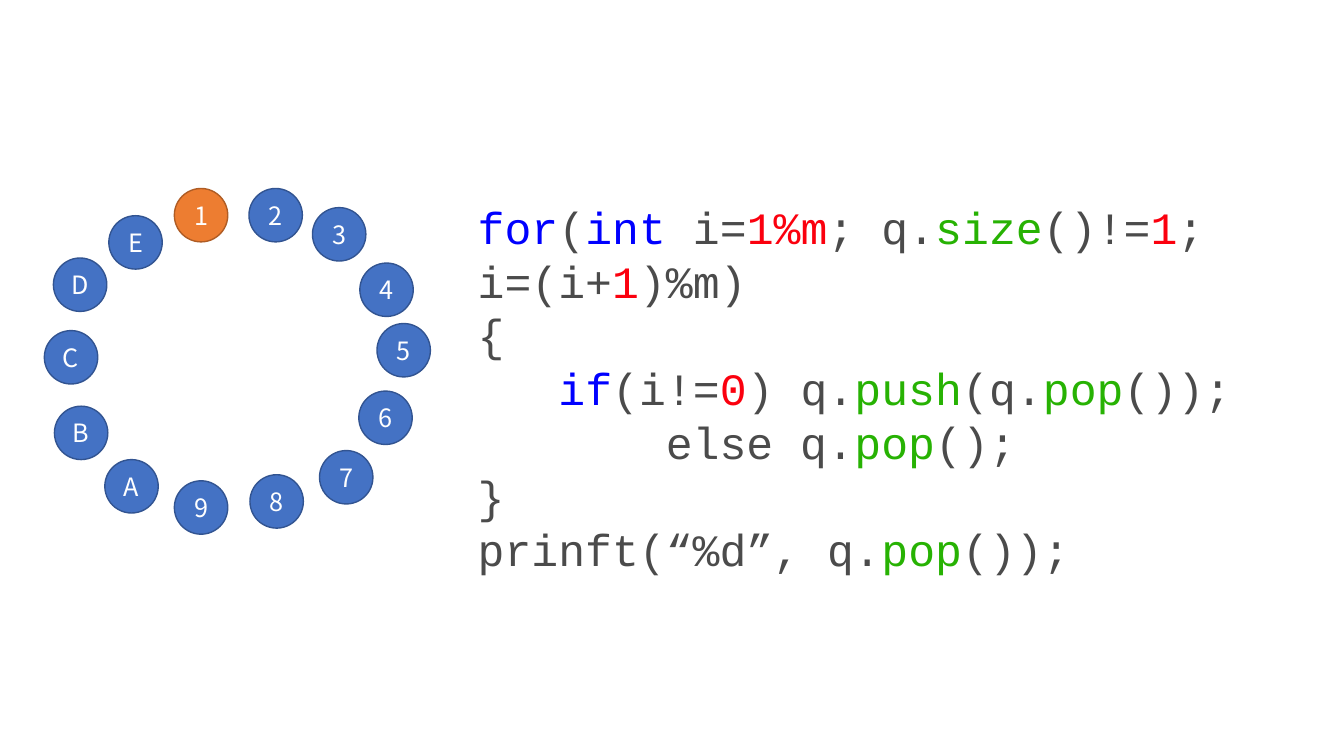
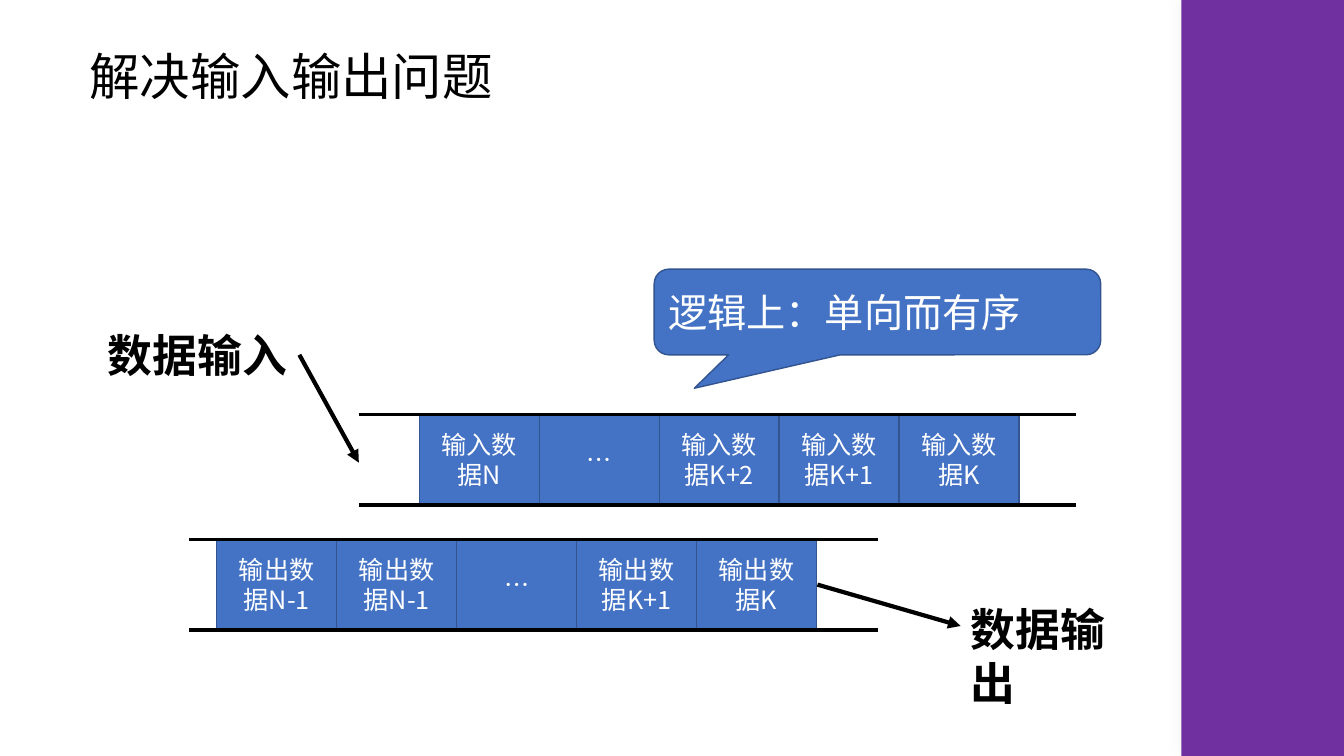
import dataclasses

import lxml.etree
import pptx
import pptx.dml.color
import pptx.enum.shapes
import pptx.enum.text
import pptx.oxml
import pptx.oxml.ns
import pptx.util

SHAPE = pptx.enum.shapes.MSO_SHAPE
ALIGN = pptx.enum.text.PP_ALIGN
ANCHOR = pptx.enum.text.MSO_ANCHOR
AUTO_SIZE = pptx.enum.text.MSO_AUTO_SIZE

# The grid: square cells, ten to the inch
CELL = pptx.util.Inches(0.1)
COLUMNS, ROWS = 133.33, 75


@dataclasses.dataclass(frozen=True)
class Theme:
    font: str = "Noto Sans CJK SC"
    code_font: str = "Courier New"
    # Colours
    fill: str = "4472C4"
    outline: str = "325491"
    accent: str = "ED7D31"
    accent_outline: str = "AF5C24"
    band: str = "7030A0"
    band_shadow: str = "D5D7D5"
    ink: str = "000000"
    light: str = "FFFFFF"
    plain: str = "4B4B4B"
    keyword: str = "0000FF"
    number: str = "FB000E"
    method: str = "27B203"
    # Type sizes and line widths in points
    title_size: int = 36
    label_size: int = 32
    callout_size: int = 28
    cell_size: int = 18
    outline_width: float = 1
    rail_width: float = 2.25
    arrow_width: float = 3


THEME = Theme()


def cells(count):
    return round(count * CELL)


def rgb(colour):
    return pptx.dml.color.RGBColor.from_string(colour)


def append_element(parent, tag, **attributes):
    return lxml.etree.SubElement(parent, pptx.oxml.ns.qn(tag), attributes)


def write(text_frame, text, size, colour, font=THEME.font, bold=False, align=ALIGN.LEFT):
    """Fill a frame from a string, or from lines of (text, colour) pieces."""
    lines = [[(text, colour)]] if isinstance(text, str) else text
    for index, line in enumerate(lines):
        paragraph = text_frame.add_paragraph() if index else text_frame.paragraphs[0]
        paragraph.alignment = align
        for piece, piece_colour in line:
            run = paragraph.add_run()
            run.text = piece
            run.font.size = pptx.util.Pt(size)
            run.font.bold = bold
            run.font.color.rgb = rgb(piece_colour)
            run.font.name = font
            append_element(run.font._element, "a:ea", typeface=font)


class Deck:
    def __init__(self, theme):
        self.theme = theme
        self.presentation = pptx.Presentation()
        self.presentation.slide_width = cells(COLUMNS)
        self.presentation.slide_height = cells(ROWS)
        self.slide = None

    def add_slide(self):
        self.slide = self.presentation.slides.add_slide(self.presentation.slide_layouts[6])

    def group(self):
        return self.slide.shapes.add_group_shape().shapes

    def shape(self, kind, left, top, width, height, fill, outline=None, shapes=None):
        shapes = self.slide.shapes if shapes is None else shapes
        shape = shapes.add_shape(kind, *map(cells, (left, top, width, height)))
        shape.shadow.inherit = False
        shape.fill.solid()
        shape.fill.fore_color.rgb = rgb(fill)
        if outline:
            shape.line.color.rgb = rgb(outline)
            shape.line.width = pptx.util.Pt(self.theme.outline_width)
        else:
            shape.line.fill.background()
        return shape

    def box(self, kind, left, top, width, height, text, size=None, align=ALIGN.CENTER,
            fill=None, outline=None, shapes=None):
        shape = self.shape(kind, left, top, width, height, fill or self.theme.fill,
                           outline or self.theme.outline, shapes)
        shape.text_frame.word_wrap = True
        shape.text_frame.vertical_anchor = ANCHOR.MIDDLE
        write(shape.text_frame, text, size or self.theme.cell_size, self.theme.light, align=align)
        return shape

    def text(self, left, top, width, height, text, size, wrap=False, **text_format):
        shape = self.slide.shapes.add_textbox(*map(cells, (left, top, width, height)))
        shape.text_frame.word_wrap = wrap
        shape.text_frame.auto_size = AUTO_SIZE.SHAPE_TO_FIT_TEXT
        write(shape.text_frame, text, size, self.theme.ink, **text_format)

    def line(self, start, end, width, arrow=False, shapes=None):
        shapes = self.slide.shapes if shapes is None else shapes
        connector = shapes.add_connector(
            pptx.enum.shapes.MSO_CONNECTOR.STRAIGHT, *map(cells, (*start, *end)))
        connector.line.color.rgb = rgb(self.theme.ink)
        connector.line.width = pptx.util.Pt(width)
        if arrow:
            append_element(connector.line._get_or_add_ln(), "a:tailEnd", type="triangle")
        append_element(connector._element.spPr, "a:effectLst")

    def arrow(self, start, end):
        self.line(start, end, self.theme.arrow_width, arrow=True)

    def side_band(self):
        left = 117.2
        band = self.shape(SHAPE.RECTANGLE, left, 0, COLUMNS - left, ROWS, self.theme.band)
        effects = band._element.spPr.find(pptx.oxml.ns.qn("a:effectLst"))
        shadow = append_element(effects, "a:outerShdw", blurRad=str(pptx.util.Pt(10)),
                                dist="0", dir="0", algn="ctr", rotWithShape="0")
        colour = append_element(shadow, "a:srgbClr", val=self.theme.band_shadow)
        append_element(colour, "a:alpha", val="40000")

    def queue(self, left, top, labels, rail_left, rail_right):
        """A row of touching cells between two rails."""
        width, height = 11.9, 9
        shapes = self.group()
        for index, label in enumerate(labels):
            self.box(SHAPE.RECTANGLE, left + index * width, top, width, height, label,
                     shapes=shapes)
        for row in (top, top + height):
            self.line((rail_left, row), (rail_right, row), self.theme.rail_width, shapes=shapes)


def build_ring_slide(deck):
    theme = deck.theme
    deck.add_slide()

    # Code listing
    plain, keyword, number, method = theme.plain, theme.keyword, theme.number, theme.method
    code = [
        [("for", keyword), ("(", plain), ("int", keyword), (" i=", plain), ("1%m", number),
         ("; q.", plain), ("size", method), ("()!=", plain), ("1", number),
         ("; i=(i+", plain), ("1", number), (")%m)", plain)],
        [("{", plain)],
        [("   ", plain), ("if", keyword), ("(i!=", plain), ("0", number), (") q.", plain),
         ("push", method), ("(q.", plain), ("pop", method), ("());", plain)],
        [("       else q.", plain), ("pop", method), ("();", plain)],
        [("}", plain)],
        [("prinft(“%d”, q.", plain), ("pop", method), ("());", plain)],
    ]
    deck.text(46.4, 19.3, 86, 36.4, code, theme.label_size, wrap=True, font=theme.code_font)

    # Ring of numbered people, clockwise from the first
    diameter = 5.3
    ring = {
        "1": (17.3, 18.7), "2": (24.7, 18.7), "3": (31, 20.6), "4": (35.7, 26.1),
        "5": (37.4, 32.1), "6": (35.6, 38.8), "7": (31.7, 44.7), "8": (24.8, 47.1),
        "9": (17.3, 47.7), "A": (10.4, 45.6), "B": (5.4, 40.3), "C": (4.4, 32.8),
        "D": (5.3, 25.6), "E": (10.8, 21.4),
    }
    for label, (left, top) in ring.items():
        first = label == "1"
        deck.box(SHAPE.OVAL, left, top, diameter, diameter, label,
                 fill=theme.accent if first else theme.fill,
                 outline=theme.accent_outline if first else theme.outline)


def build_queue_slide(deck):
    theme = deck.theme
    deck.add_slide()
    deck.side_band()
    deck.text(7.9, 4, 42.4, 7.1, "解决输入输出问题", theme.title_size)

    # Input and output queues
    deck.queue(41.6, 41.1, ["输入数据N", "…", "输入数据K+2", "输入数据K+1", "输入数据K"],
               rail_left=35.6, rail_right=106.7)
    deck.queue(21.5, 53.5, ["输出数据N-1", "输出数据N-1", "…", "输出数据K+1", "输出数据K"],
               rail_left=18.8, rail_right=87.1)

    # Callout
    callout = deck.box(SHAPE.ROUNDED_RECTANGULAR_CALLOUT, 64.9, 26.7, 44.3, 8.5,
                       "逻辑上：单向而有序", size=theme.callout_size, align=ALIGN.LEFT)
    for index, value in enumerate((-0.41, 0.89, 0.17)):
        callout.adjustments[index] = value

    # Labels with arrows
    deck.text(9.7, 32, 20, 6.4, "数据输入", theme.label_size, bold=True)
    deck.arrow((29.7, 35.2), (35.6, 45.9))
    deck.text(95.3, 59.2, 17.7, 11.8, "数据输出", theme.label_size, wrap=True, bold=True)
    deck.arrow((81.1, 58), (95.3, 62.1))


def main():
    deck = Deck(THEME)
    build_ring_slide(deck)
    build_queue_slide(deck)
    deck.presentation.save("out.pptx")


if __name__ == "__main__":
    main()
